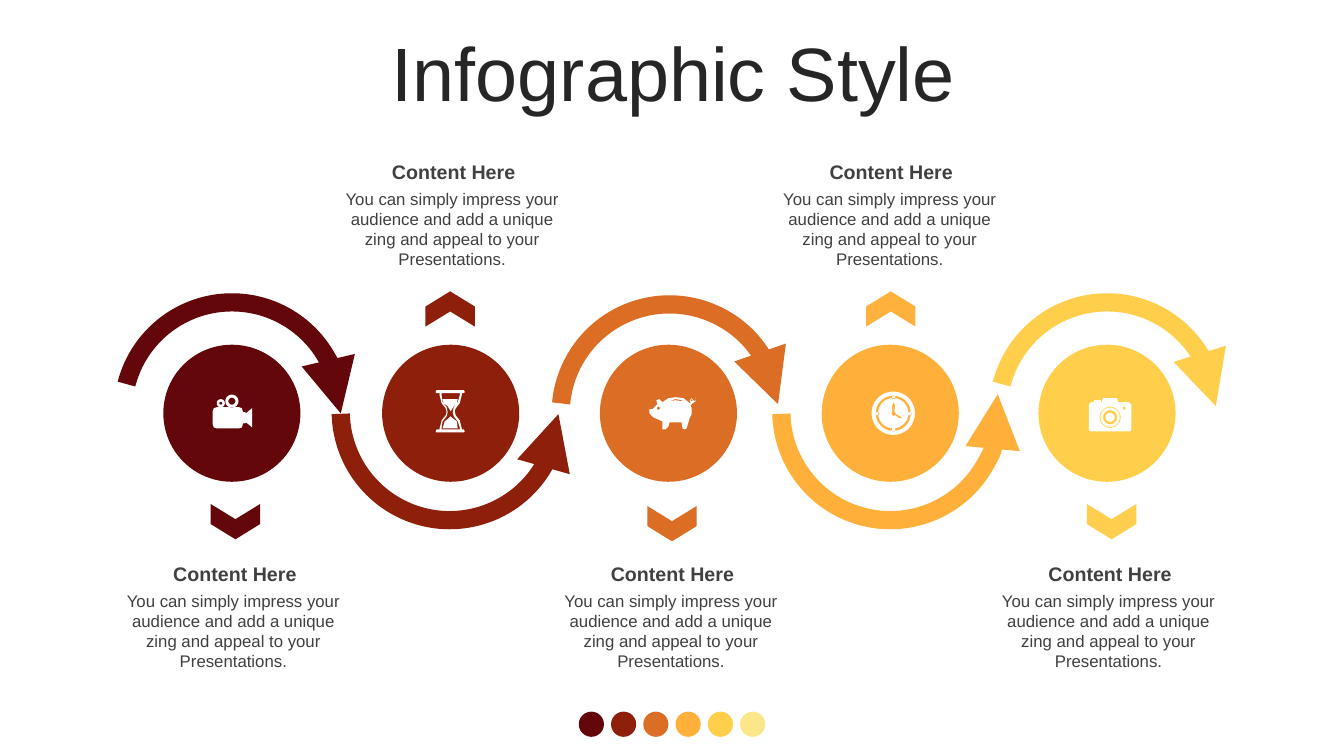
from dataclasses import dataclass
from math import cos, pi, sin

from lxml.etree import SubElement
from pptx import Presentation
from pptx.dml.color import RGBColor
from pptx.enum.shapes import MSO_SHAPE as Preset
from pptx.enum.text import MSO_ANCHOR as Anchor, MSO_AUTO_SIZE as AutoSize, PP_ALIGN as Align
from pptx.oxml.ns import qn
from pptx.util import Emu, Pt

PX = 9144
FINE = 10

MAROON = RGBColor(0x63, 0x07, 0x0A)
RUST = RGBColor(0x8E, 0x1F, 0x0B)
ORANGE = RGBColor(0xDB, 0x6D, 0x25)
AMBER = RGBColor(0xFF, 0xB0, 0x3B)
YELLOW = RGBColor(0xFF, 0xCE, 0x4B)
CREAM = RGBColor(0xFC, 0xE6, 0x8A)
WHITE = RGBColor(0xFF, 0xFF, 0xFF)
TITLE_INK = RGBColor(0x26, 0x26, 0x26)
TEXT_INK = RGBColor(0x40, 0x40, 0x40)
PALETTE = [MAROON, RUST, ORANGE, AMBER, YELLOW, CREAM]

HEADING = "Content Here"
BODY = "You can simply impress your audience and add a unique zing and appeal to your Presentations."

Contour = list[tuple[float, float]]


def disc(x: float, y: float, diameter: int) -> Contour:
    angles = [2 * pi * k / 36 for k in range(36)]
    return [(x + diameter / 2 * cos(a), y + diameter / 2 * sin(a)) for a in angles]


def bar(x: int, y: int, w: int, h: int) -> Contour:
    return [(x, y), (x + w, y), (x + w, y + h), (x, y + h)]


CAMCORDER = [
    [(215, 404), (237, 404), (240, 405), (241, 409), (243, 409), (244, 410), (250, 405),
     (250, 424), (244, 419), (243, 420), (241, 420), (240, 424), (237, 425), (215, 425),
     (212, 424), (211, 421), (211, 408), (212, 405)],
    disc(219, 400, 8), disc(219, 400, 3), disc(230, 398, 13), disc(230, 398, 7),
]
HOURGLASS = [
    [(433, 387), (460, 387), (461, 389), (460, 390), (458, 390), (458, 392), (456, 400),
     (452, 405), (451, 408), (452, 412), (456, 417), (458, 425), (458, 426), (460, 426),
     (461, 428), (460, 429), (433, 429), (432, 428), (433, 426), (436, 426), (436, 425),
     (438, 417), (442, 412), (443, 409), (442, 405), (438, 400), (436, 392), (436, 390),
     (433, 390), (432, 389)],
    [(438, 390), (438, 392), (439, 399), (443, 404), (444, 409), (443, 413), (439, 418),
     (438, 424), (438, 426), (456, 426), (456, 424), (454, 418), (450, 413), (449, 409),
     (450, 404), (454, 399), (456, 392), (456, 390)],
    [(439, 396), (454, 396), (453, 400), (450, 403), (447, 408), (444, 403), (440, 400)],
    [(447, 413), (449, 415), (453, 418), (454, 425), (439, 425), (441, 418), (445, 415)],
]
PIG = [
    [(670, 394), (678, 395), (683, 399), (684, 400), (685, 400), (684, 397), (686, 395),
     (688, 397), (688, 398), (690, 397), (690, 394), (690, 398), (687, 400), (685, 402),
     (686, 405), (686, 411), (684, 415), (681, 425), (679, 426), (677, 425), (676, 419),
     (664, 419), (663, 423), (660, 426), (657, 426), (657, 418), (648, 414), (644, 410),
     (644, 406), (647, 406), (652, 401), (651, 397), (654, 396), (657, 399), (663, 395)],
    [(664, 398), (665, 398), (670, 397), (676, 398), (677, 397), (670, 396)],
    disc(653, 405, 3), disc(686, 397, 2),
]
CLOCK = [
    disc(886, 410, 43), disc(886, 410, 35), disc(886, 410, 30),
    bar(885, 393, 3, 3), bar(885, 425, 3, 3), bar(869, 409, 3, 3), bar(901, 409, 3, 3),
    [(886, 399), (885, 402), (885, 408), (884, 410), (886, 413), (888, 412), (892, 415),
     (895, 415), (893, 413), (889, 411), (887, 408), (888, 402)],
]
CAMERA = [
    [(1094, 395), (1108, 395), (1109, 399), (1119, 399), (1121, 400), (1122, 402),
     (1122, 426), (1121, 428), (1083, 428), (1081, 428), (1080, 426), (1080, 402),
     (1081, 400), (1083, 399), (1085, 399), (1085, 397), (1092, 397), (1092, 399), (1093, 399)],
    disc(1101, 414, 21), disc(1101, 414, 19), disc(1101, 414, 14), disc(1101, 414, 9),
    disc(1115, 405, 3),
]


@dataclass
class Step:
    color: RGBColor
    arc_left: int
    arc_top: int
    arc_span: tuple[float, float]
    circle_left: int
    chevron_left: int
    chevron_top: int
    icon: list[Contour]
    upward: bool = False
    opacity: int = 100


STEPS = [
    Step(MAROON, 122, 300, (62.66, 162.69), 162, 216, 493, CAMCORDER),
    Step(RUST, 338, 300, (54.79, 161.1), 379, 429, 282, HOURGLASS, upward=True),
    Step(ORANGE, 556, 302, (57.11, 159.12), 595, 649, 495, PIG),
    Step(AMBER, 775, 300, (54.79, 167.41), 815, 866, 282, CLOCK, upward=True, opacity=98),
    Step(YELLOW, 990, 300, (62.66, 160.37), 1030, 1085, 493, CAMERA, opacity=98),
]


def px(length: int) -> Emu:
    return Emu(length * PX)


def paint(shape, color: RGBColor) -> None:
    shape.shadow.inherit = False
    shape.fill.solid()
    shape.fill.fore_color.rgb = color
    shape.line.fill.background()


def add_preset(slide, preset, x: int, y: int, w: int, h: int, color: RGBColor):
    shape = slide.shapes.add_shape(preset, px(x), px(y), px(w), px(h))
    paint(shape, color)
    return shape


def turn(shape, flipped: bool) -> None:
    shape.rotation = 90
    if flipped:
        shape.element.spPr.find(qn("a:xfrm")).set("flipH", "1")


def write(frame, text: str, *, size: int, color: RGBColor, bold: bool = False,
          spacing: float = 1.0) -> None:
    frame.word_wrap = True
    frame.text = text
    paragraph = frame.paragraphs[0]
    paragraph.alignment = Align.CENTER
    paragraph.line_spacing = spacing
    font = paragraph.runs[0].font
    font.name, font.size, font.bold, font.color.rgb = "Arial", Pt(size), bold, color


def draw_arc(slide, step: Step) -> None:
    arc = add_preset(slide, Preset.ARC, step.arc_left, step.arc_top, 216, 216, step.color)
    turn(arc, step.upward)
    arc.adjustments[0], arc.adjustments[1] = step.arc_span
    arc.fill.background()
    arc.line.color.rgb = step.color
    arc.line.width = Pt(13)
    SubElement(arc.element.spPr.find(qn("a:ln")), qn("a:tailEnd"), type="triangle")


def draw_chevron(slide, step: Step) -> None:
    chevron = add_preset(slide, Preset.CHEVRON, step.chevron_left, step.chevron_top, 35, 49, step.color)
    turn(chevron, step.upward)
    chevron.adjustments[0] = 0.43
    if step.opacity < 100:
        tint = chevron.element.spPr.find(qn("a:solidFill"))[0]
        SubElement(tint, qn("a:alpha"), val=str(step.opacity * 1000))


def draw_icon(slide, contours: list[Contour]) -> None:
    fine = [[(x * FINE, y * FINE) for x, y in contour] for contour in contours]
    builder = slide.shapes.build_freeform(*fine[0][0], scale=PX / FINE)
    builder.add_line_segments(fine[0][1:], close=True)
    for contour in fine[1:]:
        builder.move_to(*contour[0])
        builder.add_line_segments(contour[1:], close=True)
    paint(builder.convert_to_shape(), WHITE)


def draw_caption(slide, x: int, y: int) -> None:
    body = slide.shapes.add_textbox(px(x), px(y + 28), px(245), px(91))
    write(body.text_frame, BODY, size=12, color=TEXT_INK)
    heading = slide.shapes.add_textbox(px(x), px(y), px(248), px(34))
    write(heading.text_frame, HEADING, size=14, color=TEXT_INK, bold=True)


def main() -> None:
    deck = Presentation()
    deck.slide_width, deck.slide_height = px(1333), px(750)
    slide = deck.slides.add_slide(deck.slide_layouts[5])

    title = slide.shapes.title
    title.left, title.top, title.width, title.height = px(35), px(37), px(1266), px(79)
    title.text_frame.auto_size = AutoSize.NONE
    title.text_frame.vertical_anchor = Anchor.MIDDLE
    write(title.text_frame, "Infographic Style", size=54, color=TITLE_INK, spacing=0.9)

    for i, color in enumerate(PALETTE):
        add_preset(slide, Preset.OVAL, 574 + 32 * i, 706, 25, 25, color)
    for i, step in enumerate(STEPS):
        draw_arc(slide, step)
        add_preset(slide, Preset.OVAL, step.circle_left, 342, 136, 136, step.color)
        draw_chevron(slide, step)
        draw_icon(slide, step.icon)
        draw_caption(slide, 109 + 217 * i, 154 if step.upward else 553)

    deck.save("out.pptx")


if __name__ == "__main__":
    main()
